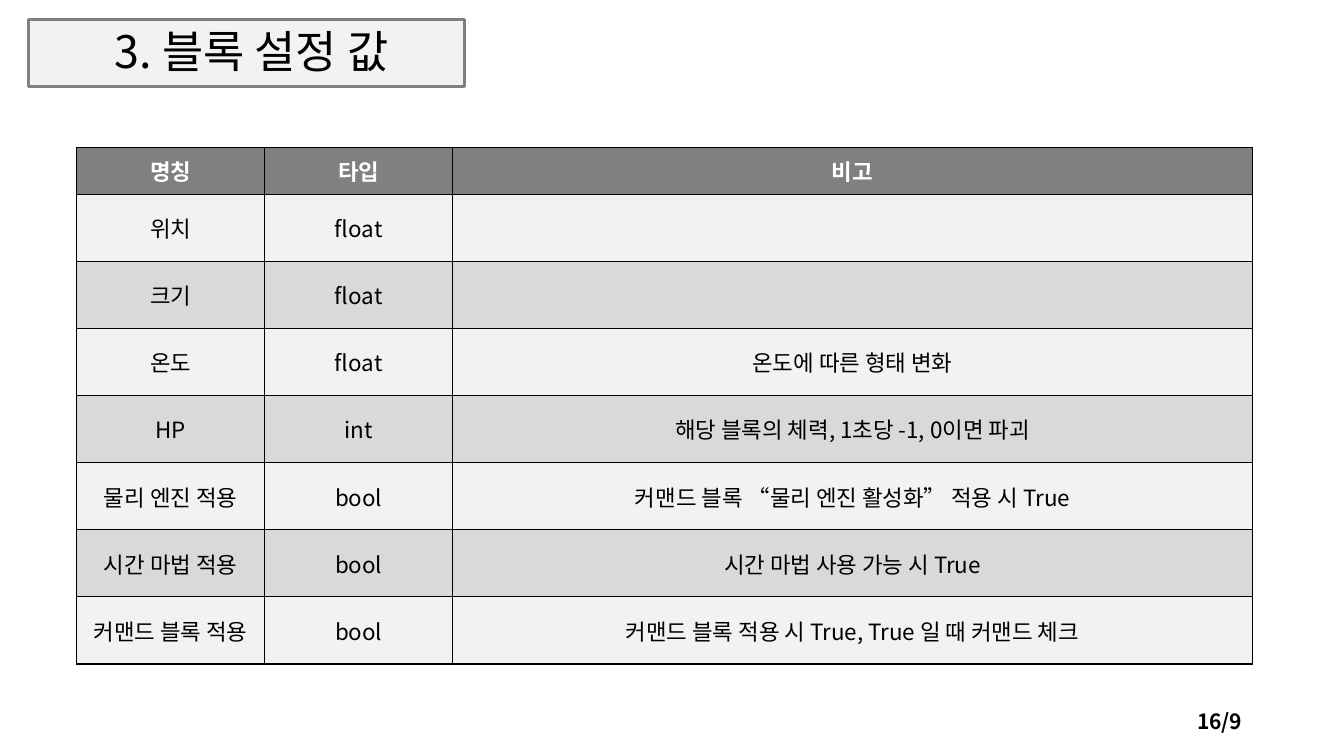
from lxml import etree
from pptx import Presentation
from pptx import util as u
from pptx.dml.color import RGBColor
from pptx.enum import shapes, text
from pptx.oxml.ns import qn

TITLE = "3. 블록 설정 값"
PAGE = "16/9"
HEADER = ("명칭", "타입", "비고")
ROWS = [
    ("위치", "float", ""),
    ("크기", "float", ""),
    ("온도", "float", "온도에 따른 형태 변화"),
    ("HP", "int", "해당 블록의 체력, 1초당 -1, 0이면 파괴"),
    ("물리 엔진 적용", "bool", "커맨드 블록 “물리 엔진 활성화” 적용 시 True"),
    ("시간 마법 적용", "bool", "시간 마법 사용 가능 시 True"),
    ("커맨드 블록 적용", "bool", "커맨드 블록 적용 시 True, True 일 때 커맨드 체크"),
]
FONT = "Noto Sans CJK KR"
COLORS = {"ink": "000000", "white": "FFFFFF", "gray": "808080",
          "light": "F2F2F2", "band": "D9D9D9"}
SLIDE = (13.33, 7.5)
PLATE_BOX = (0.28, 0.19, 4.33, 0.67)
TITLE_BOX = (0.42, 0.18, 4.15, 0.65)
PAGE_BOX = (9.42, 6.95, 3, 0.4)
TABLE_BOX = (0.76, 1.46, 11.66, 5.13)
LABEL_SHARE = 0.16
HEADER_HEIGHT = 0.47


def inches(box):
    return [u.Inches(v) for v in box]


def color(name):
    return RGBColor.from_string(COLORS[name])


def fill(obj, name):
    obj.fill.solid()
    obj.fill.fore_color.rgb = color(name)


def write(tf, words, size, ink="ink", bold=False, align=text.PP_ALIGN.CENTER):
    p = tf.paragraphs[0]
    p.add_run().text = words
    p.alignment = align
    p.font.size = u.Pt(size)
    p.font.bold = bold
    p.font.color.rgb = color(ink)
    p.font.name = FONT
    props = p._p.pPr.find(qn("a:defRPr"))
    etree.SubElement(props, qn("a:ea"), typeface=FONT)
    return p


def border(cell):
    props = cell._tc.get_or_add_tcPr()
    for i, side in enumerate(("lnL", "lnR", "lnT", "lnB")):
        ln = etree.Element(qn(f"a:{side}"), w=str(u.Pt(1)))
        solid = etree.SubElement(ln, qn("a:solidFill"))
        etree.SubElement(solid, qn("a:srgbClr"), val=COLORS["ink"])
        props.insert(i, ln)


def add_title(s):
    sp = s.shapes.add_shape(shapes.MSO_SHAPE.RECTANGLE, *inches(PLATE_BOX))
    sp.shadow.inherit = False
    fill(sp, "light")
    sp.line.color.rgb = color("gray")
    sp.line.width = u.Pt(2.25)
    title = s.shapes.title
    title.left, title.top, title.width, title.height = inches(TITLE_BOX)
    s.shapes._spTree.append(title._element)
    tf = title.text_frame
    tf.word_wrap = True
    tf.auto_size = text.MSO_AUTO_SIZE.NONE
    tf.vertical_anchor = text.MSO_ANCHOR.BOTTOM
    write(tf, TITLE, 32).line_spacing = 0.9


def add_settings(s):
    left, top, width, height = TABLE_BOX
    grid = [HEADER] + ROWS
    table = s.shapes.add_table(len(grid), len(HEADER), *inches(TABLE_BOX)).table
    shares = (LABEL_SHARE, LABEL_SHARE, 1 - 2 * LABEL_SHARE)
    for column, share in zip(table.columns, shares):
        column.width = u.Inches(width * share)
    row_height = (height - HEADER_HEIGHT) / len(ROWS)
    for r, row in enumerate(grid):
        head = r == 0
        table.rows[r].height = u.Inches(HEADER_HEIGHT if head else row_height)
        shade = "gray" if head else ("band", "light")[r % 2]
        for c, words in enumerate(row):
            cell = table.cell(r, c)
            fill(cell, shade)
            border(cell)
            cell.vertical_anchor = text.MSO_ANCHOR.MIDDLE
            if words:
                write(cell.text_frame, words, 16, "white" if head else "ink", head)


def add_page(s):
    tf = s.shapes.add_textbox(*inches(PAGE_BOX)).text_frame
    tf.word_wrap = True
    tf.vertical_anchor = text.MSO_ANCHOR.MIDDLE
    write(tf, PAGE, 15, bold=True, align=text.PP_ALIGN.RIGHT)


def main():
    prs = Presentation()
    prs.slide_width, prs.slide_height = inches(SLIDE)
    s = prs.slides.add_slide(prs.slide_layouts[5])
    add_title(s)
    add_page(s)
    add_settings(s)
    prs.save("out.pptx")


if __name__ == "__main__":
    main()
